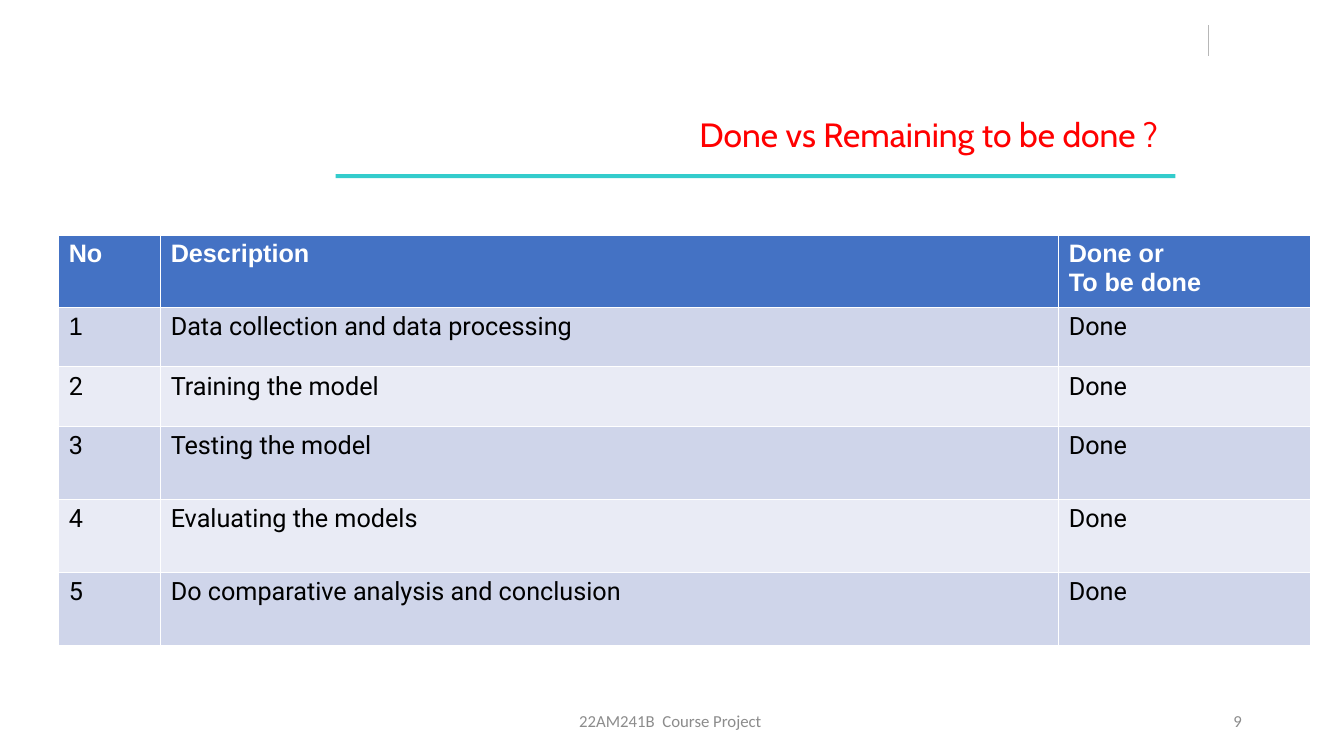
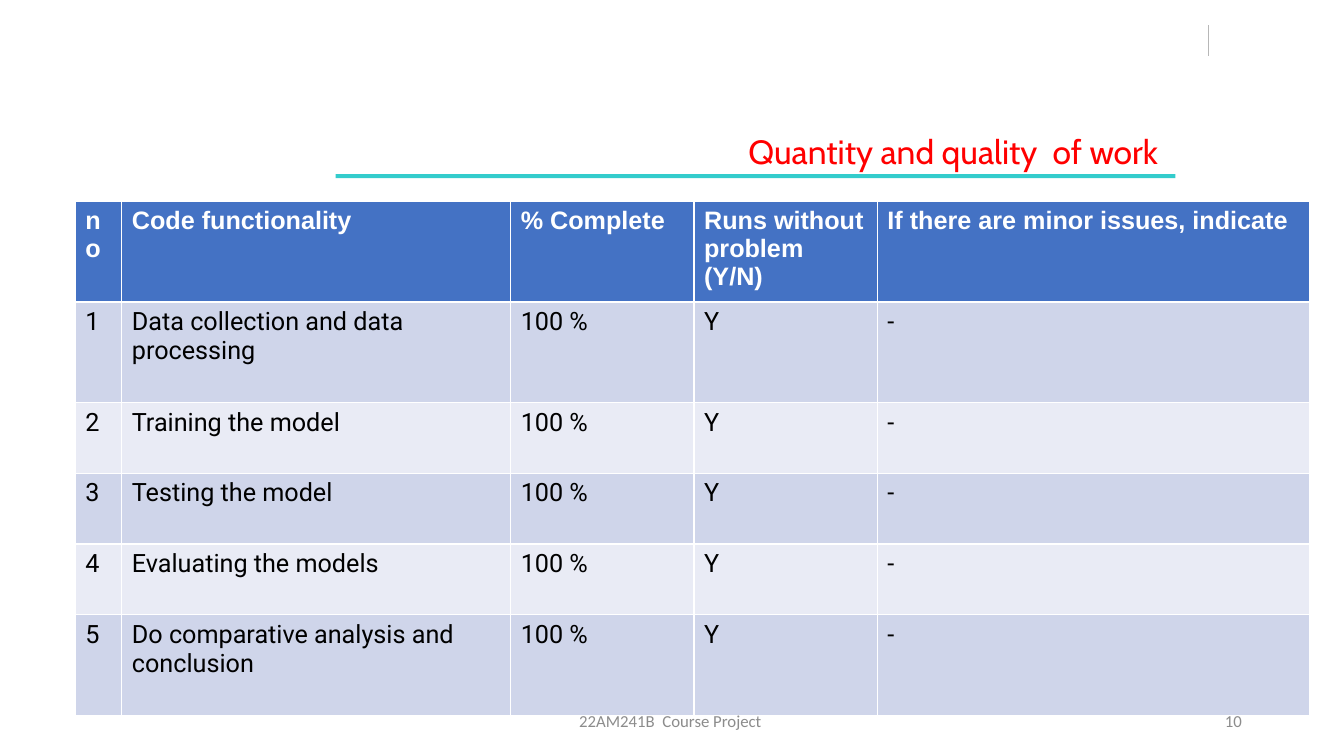
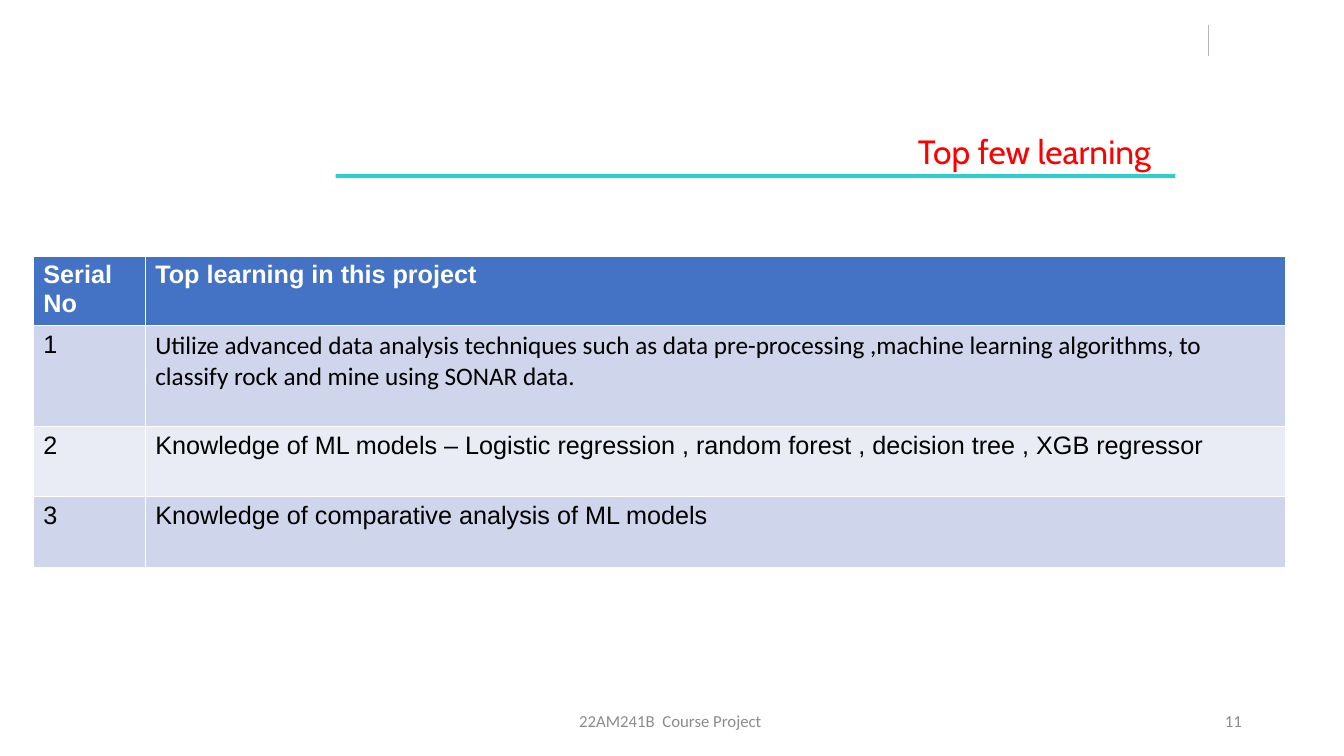
"""Build three project review slides, each with a ruled title, a table and a footer."""
import pptx
import pptx.dml.color
import pptx.enum.shapes
import pptx.enum.text
import pptx.oxml.ns
import pptx.util
from lxml import etree

Cm = pptx.util.Cm
ALIGN = pptx.enum.text.PP_ALIGN
ANCHOR = pptx.enum.text.MSO_ANCHOR

COLOURS = {
    "title": "FF0000",
    "rule": "33CCCC",
    "tick": "B7B7B7",
    "footer": "8C8C8C",
    "header": "4472C4",
    "header_text": "FFFFFF",
    "odd_row": "CFD5EA",
    "even_row": "E9EBF5",
    "body": "000000",
}
FOOTER = "22AM241B  Course Project"
TASKS = [
    "Data collection and data processing",
    "Training the model",
    "Testing the model",
    "Evaluating the models",
    "Do comparative analysis and conclusion",
]
SLIDES = [
    {
        "number": 9,
        "title": "Done vs Remaining to be done ?",
        "title_box": (8.05, 2.74, 21.39, 1.27),
        "corner": (1.48, 5.92),
        "columns": [2.57, 22.63, 6.35],
        "heights": [1.82, 1.5, 1.5, 1.84, 1.84, 1.84],
        "header": ["No", "Description", "Done or\nTo be done"],
        "records": [(str(no), task, "Done") for no, task in enumerate(TASKS, 1)],
        "font": "Roboto",
        "exceptions": {(1, 0): "Arial"},
    },
    {
        "number": 10,
        "title": "Quantity and quality  of work",
        "title_box": (8.05, 3.18, 21.39, 1.27),
        "corner": (1.9, 5.08),
        "columns": [1.17, 9.8, 4.62, 4.62, 10.9],
        "heights": [2.53, 2.54, 1.78, 1.78, 1.78, 2.54],
        "header": ["no", "Code functionality", "% Complete",
                   "Runs without problem  (Y/N)",
                   "If there are minor issues, indicate"],
        "records": [(str(no), task, "100 %", "Y", "-")
                    for no, task in enumerate(TASKS, 1)],
        "font": "Roboto",
        "exceptions": {},
    },
    {
        "number": 11,
        "title": "Top few learning",
        "title_box": (8.05, 3.18, 21.21, 1.27),
        "corner": (0.84, 6.45),
        "columns": [2.82, 28.73],
        "heights": [1.76, 2.53, 1.78, 1.78],
        "header": ["Serial\nNo", "Top learning in this project"],
        "records": [
            ("1", "Utilize advanced data analysis techniques such as data "
                  "pre-processing ,machine learning algorithms, to classify "
                  "rock and mine using SONAR data."),
            ("2", "Knowledge of ML models – Logistic regression , random forest , "
                  "decision tree , XGB regressor"),
            ("3", "Knowledge of comparative analysis of ML models"),
        ],
        "font": "Arial",
        "exceptions": {(1, 1): "Calibri"},
    },
]


def rgb(name):
    return pptx.dml.color.RGBColor.from_string(COLOURS[name])


def write(frame, text, *, font, size, colour, bold=False, align=ALIGN.LEFT):
    frame.word_wrap = True
    frame.text = text
    for paragraph in frame.paragraphs:
        paragraph.alignment = align
        paragraph.line_spacing = 1.0
        for run in paragraph.runs:
            run.font.name = font
            run.font.size = pptx.util.Pt(size)
            run.font.bold = bold
            run.font.color.rgb = rgb(colour)


def add_title(slide, text, box):
    title = slide.shapes.title
    title.left, title.top, title.width, title.height = map(Cm, box)
    frame = title.text_frame
    frame.auto_size = pptx.enum.text.MSO_AUTO_SIZE.NONE
    frame.vertical_anchor = ANCHOR.TOP
    write(frame, text, font="Cabin", size=24, colour="title", align=ALIGN.RIGHT)


def add_rules(slide):
    tick = slide.shapes.add_connector(
        pptx.enum.shapes.MSO_CONNECTOR.STRAIGHT,
        Cm(30.45), Cm(0.64), Cm(30.45), Cm(1.4))
    tick.line.color.rgb = rgb("tick")
    tick.line.width = pptx.util.Pt(0.75)
    etree.SubElement(tick._element.spPr, pptx.oxml.ns.qn("a:effectLst"))

    rule = slide.shapes.add_shape(
        pptx.enum.shapes.MSO_SHAPE.RECTANGLE,
        Cm(8.46), Cm(4.39), Cm(21.16), Cm(0.1))
    rule.shadow.inherit = False
    rule.fill.solid()
    rule.fill.fore_color.rgb = rgb("rule")
    rule.line.fill.background()


def add_footer(slide, number):
    for text, left, width, align in (
        (FOOTER, 11.18, 11.43, ALIGN.CENTER),
        (str(number), 23.93, 7.62, ALIGN.RIGHT),
    ):
        label = slide.shapes.add_textbox(Cm(left), Cm(17.65), Cm(width), Cm(1.02))
        label.text_frame.vertical_anchor = ANCHOR.MIDDLE
        write(label.text_frame, text, font="Calibri", size=12,
              colour="footer", align=align)


def add_records(slide, corner, columns, heights, header, records, font, exceptions):
    rows = [header, *records]
    grid = slide.shapes.add_table(
        len(rows), len(columns), *map(Cm, corner),
        Cm(sum(columns)), Cm(sum(heights))).table
    for column, width in zip(grid.columns, columns):
        column.width = Cm(width)
    for r, (values, height) in enumerate(zip(rows, heights)):
        grid.rows[r].height = Cm(height)
        is_header = r == 0
        band = "header" if is_header else "odd_row" if r % 2 else "even_row"
        for c, value in enumerate(values):
            cell = grid.cell(r, c)
            cell.fill.solid()
            cell.fill.fore_color.rgb = rgb(band)
            write(cell.text_frame, value, size=18, bold=is_header,
                  font="Arial" if is_header else exceptions.get((r, c), font),
                  colour="header_text" if is_header else "body")


def add_review_slide(deck, number, title, title_box, **records):
    slide = deck.slides.add_slide(deck.slide_layouts.get_by_name("Title Only"))
    add_rules(slide)
    add_title(slide, title, title_box)
    add_records(slide, **records)
    add_footer(slide, number)


def main():
    deck = pptx.Presentation()
    deck.slide_width, deck.slide_height = Cm(33.87), Cm(19.05)
    for content in SLIDES:
        add_review_slide(deck, **content)
    deck.save("out.pptx")


if __name__ == "__main__":
    main()
